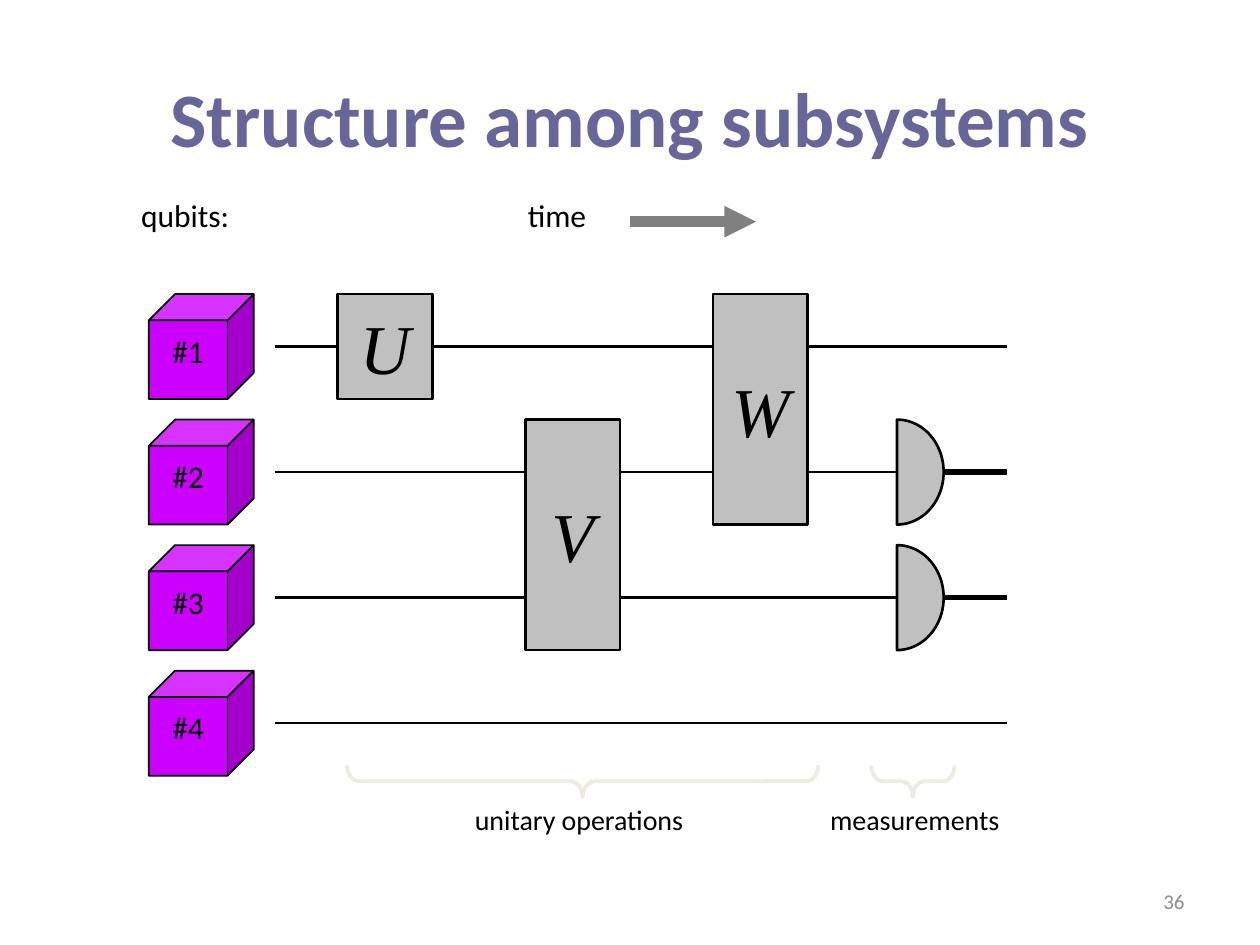
from dataclasses import dataclass
from math import cos, pi, sin

from lxml.etree import SubElement
from pptx import Presentation
from pptx.dml.color import RGBColor
from pptx.enum.shapes import MSO_CONNECTOR as Link, MSO_SHAPE as Shape
from pptx.enum.text import MSO_ANCHOR as Anchor, PP_ALIGN as Align
from pptx.oxml.ns import qn
from pptx.util import Pt


@dataclass(frozen=True)
class Theme:
    ink: str = "000000"
    title: str = "666699"
    gate: str = "C0C0C0"
    qubit: str = "CC00FF"
    arrow: str = "808080"
    brace: str = "EEECE1"
    page: str = "8C8C8C"
    body_font: str = "Calibri"
    gate_font: str = "Times New Roman"
    title_size: float = 44
    gate_size: float = 40
    label_size: float = 18
    caption_size: float = 16
    page_size: float = 12


THEME = Theme()

TITLE = "Structure among subsystems"
PAGE = "36"
QUBITS = ["#1", "#2", "#3", "#4"]
MEASURED = [1, 2]
# name, column, first wire, number of wires
GATES = [("V", 1, 1, 2), ("U", 0, 0, 1), ("W", 2, 0, 2)]
HEADINGS = [("qubits:", 73.5, 85), ("time", 294.5, 60)]
# caption, caption left, caption width, brace centre, brace width, curl
STAGES = [
    ("unitary operations", 264.25, 142, 333, 269.3, 0.385),
    ("measurements", 467.3, 120, 521.65, 47.5, 0.357),
]

WIRE_TOP, WIRE_STEP = 198, 71.75
WIRE_LEFT, WIRE_RIGHT = 157, 575.3
BLOCK = 60
GATE_LEFT, GATE_STEP, GATE_WIDTH = 193, 107.25, 54
METER_LEFT, METER_WIDTH = 512.6, 26.7
CUBE_LEFT = 85
HEADING_TOP, ARROW_Y = 108.7, 126.7
BRACE_Y, BRACE_DEPTH, CAPTION_TOP = 446.4, 18, 455


def wire_y(index):
    return WIRE_TOP + index * WIRE_STEP


def format_text(frame, text, size, color=THEME.ink, font=THEME.body_font,
                align=Align.LEFT, anchor=Anchor.TOP, bold=False, italic=False):
    frame.text = text
    frame.vertical_anchor = anchor
    paragraph = frame.paragraphs[0]
    paragraph.alignment = align
    style = paragraph.runs[0].font
    style.name, style.size, style.bold, style.italic = font, Pt(size), bold, italic
    style.color.rgb = RGBColor.from_string(color)


def add_label(slide, text, left, top, width, height, size, **style):
    box = slide.shapes.add_textbox(Pt(left), Pt(top), Pt(width), Pt(height))
    box.text_frame.word_wrap = True
    format_text(box.text_frame, text, size, **style)


def paint(shape, fill, line, width):
    shape.shadow.inherit = False
    if fill:
        shape.fill.solid()
        shape.fill.fore_color.rgb = RGBColor.from_string(fill)
    else:
        shape.fill.background()
    shape.line.color.rgb = RGBColor.from_string(line)
    shape.line.width = Pt(width)


def add_block(slide, kind, left, top, width, height, fill, line, weight):
    block = slide.shapes.add_shape(kind, Pt(left), Pt(top), Pt(width), Pt(height))
    paint(block, fill, line, weight)
    return block


def add_line(slide, left, right, y, width, color=THEME.ink, arrow=False):
    line = slide.shapes.add_connector(
        Link.STRAIGHT, Pt(left), Pt(y), Pt(right), Pt(y))
    line.line.color.rgb = RGBColor.from_string(color)
    line.line.width = Pt(width)
    if arrow:
        SubElement(line.line._get_or_add_ln(), qn("a:tailEnd"), type="triangle")
    SubElement(line._element.spPr, qn("a:effectLst"))


def add_meter(slide, y, steps=48):
    """Add a half-ellipse with its flat side on the left."""
    angles = [pi * (step / steps - 0.5) for step in range(steps + 1)]
    points = [(Pt(METER_LEFT + METER_WIDTH * cos(a)), Pt(y + BLOCK / 2 * sin(a)))
              for a in angles]
    builder = slide.shapes.build_freeform(*points[0])
    builder.add_line_segments(points[1:], close=True)
    paint(builder.convert_to_shape(), THEME.gate, THEME.ink, 1.5)


def add_circuit(slide):
    for index in range(len(QUBITS)):
        end = METER_LEFT if index in MEASURED else WIRE_RIGHT
        add_line(slide, WIRE_LEFT, end, wire_y(index), 1.5)
    for index in MEASURED:
        add_meter(slide, wire_y(index))
        add_line(slide, METER_LEFT + METER_WIDTH, WIRE_RIGHT, wire_y(index), 3)
    for name, column, first, span in GATES:
        gate = add_block(
            slide, Shape.RECTANGLE, GATE_LEFT + column * GATE_STEP,
            wire_y(first) - BLOCK / 2, GATE_WIDTH,
            BLOCK + (span - 1) * WIRE_STEP, THEME.gate, THEME.ink, 1.5)
        gate.text_frame.word_wrap = False
        format_text(gate.text_frame, name, THEME.gate_size, font=THEME.gate_font,
                    align=Align.CENTER, anchor=Anchor.MIDDLE, italic=True)


def add_qubits(slide):
    for index, name in enumerate(QUBITS):
        top = wire_y(index) - BLOCK / 2
        cube = add_block(slide, Shape.CUBE, CUBE_LEFT, top, BLOCK, BLOCK,
                         THEME.qubit, THEME.ink, 1)
        cube.adjustments[0] = 0.25
        add_label(slide, name, CUBE_LEFT + 6.4, top + 18, 41, 36, THEME.label_size)


def add_stages(slide):
    for caption, left, width, centre, span, curl in STAGES:
        brace = add_block(
            slide, Shape.LEFT_BRACE, centre - BRACE_DEPTH / 2, BRACE_Y - span / 2,
            BRACE_DEPTH, span, None, THEME.brace, 2.25)
        brace.rotation = 270
        brace.adjustments[0] = curl
        brace.adjustments[1] = 0.5
        add_label(slide, caption, left, CAPTION_TOP, width, 26.6, THEME.caption_size)


def main():
    deck = Presentation()
    deck.slide_width, deck.slide_height = Pt(720), Pt(540)
    slide = deck.slides.add_slide(deck.slide_layouts[5])

    title = slide.shapes.title
    title.left, title.top, title.width, title.height = Pt(36), Pt(21.6), Pt(648), Pt(90)
    format_text(title.text_frame, TITLE, THEME.title_size, color=THEME.title,
                align=Align.CENTER, anchor=Anchor.MIDDLE, bold=True)
    add_label(slide, PAGE, 516, 500.5, 168, 28.75, THEME.page_size,
              color=THEME.page, align=Align.RIGHT, anchor=Anchor.MIDDLE)

    add_circuit(slide)
    add_qubits(slide)
    for heading, left, width in HEADINGS:
        add_label(slide, heading, left, HEADING_TOP, width, 36, THEME.label_size)
    add_line(slide, 360, 432, ARROW_Y, 6, THEME.arrow, arrow=True)
    add_stages(slide)
    deck.save("out.pptx")


if __name__ == "__main__":
    main()
